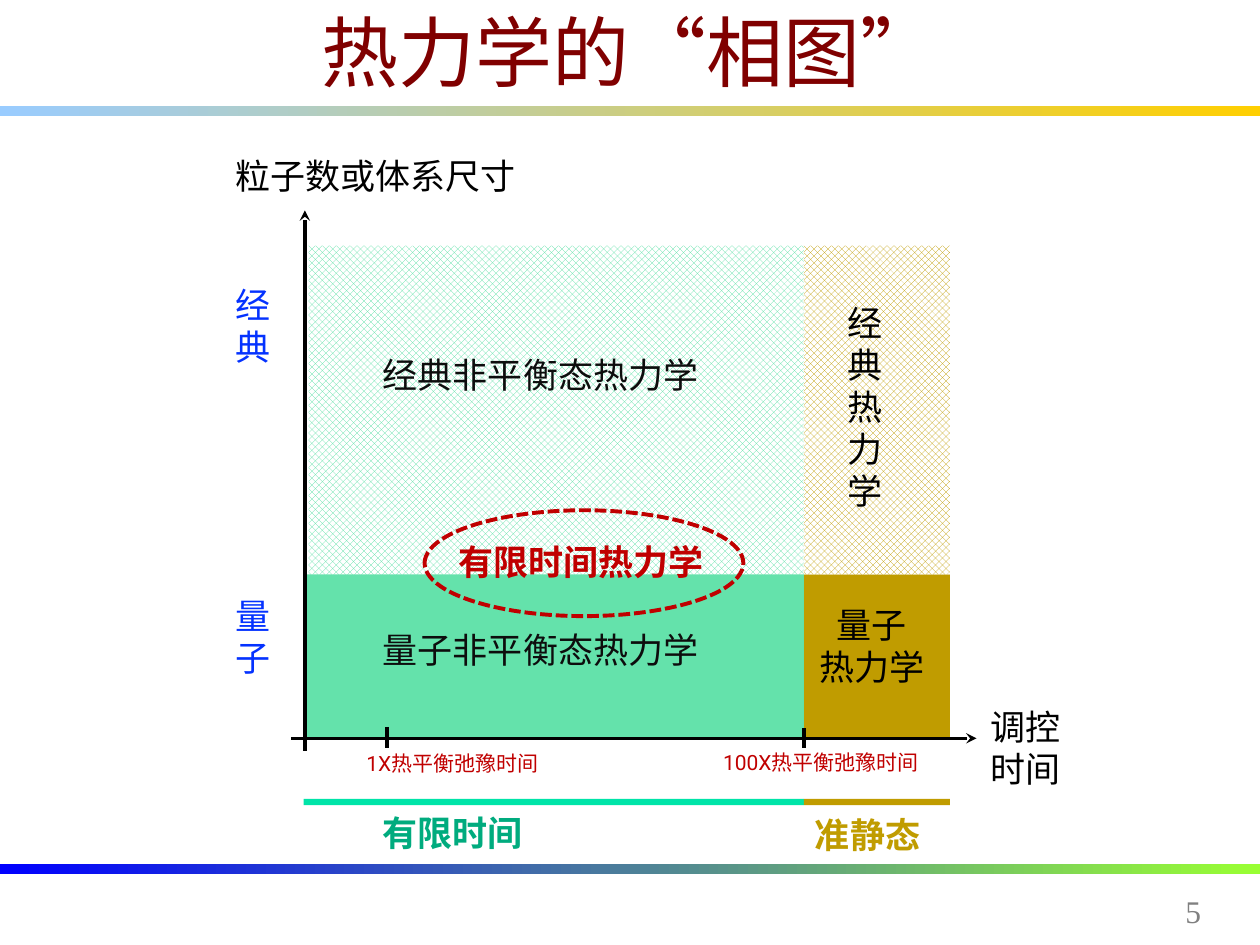
from lxml.etree import SubElement
from pptx import Presentation
from pptx.dml.color import RGBColor
from pptx.enum.dml import MSO_LINE, MSO_PATTERN
from pptx.enum.shapes import MSO_CONNECTOR, MSO_SHAPE
from pptx.enum.text import MSO_ANCHOR, PP_ALIGN
from pptx.oxml.ns import qn
from pptx.util import Inches, Pt

CJK, LATIN, NUMBER = "Noto Sans CJK SC", "Roboto", "Times New Roman"
BLACK, SOFT_BLACK, RED, BLUE = "000000", "0D0D0D", "C00000", "0432FF"
GREEN, GOLD = "54DFA2", "C09C00"

# Shared edges of the phase diagram
AXIS_X, AXIS_Y = 2.42, 5.86
LEFT, SPLIT, RIGHT = 2.41, 6.38, 7.54
TOP, MIDDLE = 1.95, 4.56

# Top, start colour, end colour
RULES = [(6.86, "0000FF", "99FF33"), (0.84, "99CCFF", "FFCF01")]

# Left, top, right, bottom, colour, style
REGIONS = [
    (2.45, TOP, SPLIT, MIDDLE, GREEN, "pattern"),
    (SPLIT, MIDDLE, RIGHT, AXIS_Y, GOLD, "solid"),
    (LEFT, MIDDLE, SPLIT, AXIS_Y, GREEN, "translucent"),
    (SPLIT, TOP, RIGHT, MIDDLE, GOLD, "pattern"),
    (LEFT, 6.34, SPLIT, 6.39, "00E4A8", "solid"),
    (SPLIT, 6.34, RIGHT, 6.39, GOLD, "solid"),
]

# Start, end, has arrowhead
AXES_AND_TICKS = [
    ((2.31, AXIS_Y), (7.75, AXIS_Y), True),
    ((AXIS_X, 5.96), (AXIS_X, 1.67), True),
    ((3.07, 5.77), (3.07, 5.94), False),
    ((SPLIT, 5.78), (SPLIT, 5.94), False),
]

# Lines, (left, top, width, height), size, colour, font, options
LABELS = [
    (["热力学的“相图”"], (0.69, 0, 8.62, 0.81), 44, "800000", CJK,
     {"center", "middle"}),
    (["5"], (9.31, 7.03, 0.6, 0.4), 18, "808080", NUMBER, set()),
    (["粒子数或体系尺寸"], (1.77, 1.18, 2.78, 0.44), 20, BLACK, CJK, {"nowrap"}),
    (["调控", "时间"], (7.76, 5.55, 0.76, 0.77), 20, BLACK, CJK, {"nowrap"}),
    (["1X热平衡弛豫时间"], (2.81, 5.91, 1.59, 0.3), 12, RED, LATIN, set()),
    (["100X热平衡弛豫时间"], (5.64, 5.9, 1.78, 0.3), 12, RED, LATIN, set()),
    (["有限时间"], (2.94, 6.39, 1.32, 0.44), 20, "00AB7E", CJK, {"bold", "nowrap"}),
    (["准静态"], (6.37, 6.41, 1.04, 0.44), 20, GOLD, CJK, {"bold", "nowrap"}),
    (["量子"], (1.77, 4.67, 0.63, 0.97), 20, BLUE, LATIN, {"stacked"}),
    (["经典"], (1.77, 2.2, 0.53, 0.76), 20, BLUE, LATIN, {"stacked"}),
    (["量子非平衡态热力学"], (2.94, 4.94, 2.73, 0.44), 20, SOFT_BLACK, CJK, {"nowrap"}),
    (["量子", "热力学"], (6.38, 4.74, 1.08, 0.77), 20, BLACK, CJK, {"center"}),
    (["经典非平衡态热力学"], (2.94, 2.76, 2.73, 0.44), 20, SOFT_BLACK, CJK, {"nowrap"}),
    (["经典热力学"], (6.63, 2.34, 0.71, 1.78), 20, BLACK, CJK, set()),
    (["有限时间热力学"], (3.38, 4.24, 2.46, 0.44), 20, RED, "Arial",
     {"bold", "center"}),
]


def color(value):
    return RGBColor.from_string(value)


def add_block(slide, kind, left, top, width, height):
    block = slide.shapes.add_shape(
        kind, Inches(left), Inches(top), Inches(width), Inches(height))
    block.shadow.inherit = False
    block.line.fill.background()
    return block


def add_rule(slide, top, start, end):
    fill = add_block(slide, MSO_SHAPE.RECTANGLE, 0, top, 10, 0.08).fill
    fill.gradient()
    fill.gradient_angle = 0
    for stop, position, value in zip(fill.gradient_stops, (0, 1), (start, end)):
        stop.position = position
        stop.color.rgb = color(value)


def add_region(slide, left, top, right, bottom, value, style):
    region = add_block(slide, MSO_SHAPE.RECTANGLE, left, top,
                       right - left, bottom - top)
    fill = region.fill
    if style == "pattern":
        fill.patterned()
        fill.pattern = MSO_PATTERN.OUTLINED_DIAMOND
        fill.fore_color.rgb = color(value)
        fill.back_color.rgb = color("FFFFFF")
        return
    fill.solid()
    fill.fore_color.rgb = color(value)
    if style == "translucent":
        rgb = region._element.spPr.find(qn("a:solidFill"))[0]
        SubElement(rgb, qn("a:alpha"), val="90000")


def add_line(slide, start, end, arrow):
    line = slide.shapes.add_connector(
        MSO_CONNECTOR.STRAIGHT, *map(Inches, start + end))
    line.line.color.rgb = color(BLACK)
    line.line.width = Pt(2)
    if arrow:
        SubElement(line.line._get_or_add_ln(), qn("a:tailEnd"), type="stealth")
    SubElement(line._element.spPr, qn("a:effectLst"))


def add_label(slide, lines, place, size, value, font, options):
    frame = slide.shapes.add_textbox(*map(Inches, place)).text_frame
    frame.word_wrap = "nowrap" not in options
    if "middle" in options:
        frame.vertical_anchor = MSO_ANCHOR.MIDDLE
    if "stacked" in options:
        frame._txBody.bodyPr.set("vert", "wordArtVert")
    frame.text = "\n".join(lines)
    for paragraph in frame.paragraphs:
        if "center" in options:
            paragraph.alignment = PP_ALIGN.CENTER
        paragraph.font.size = Pt(size)
        paragraph.font.name = font
        paragraph.font.bold = "bold" in options
        paragraph.font.color.rgb = color(value)
        # East Asian glyphs take their own typeface
        for run in paragraph.runs:
            SubElement(run._r.get_or_add_rPr(), qn("a:ea"), typeface=CJK)


def main():
    prs = Presentation()
    prs.slide_width, prs.slide_height = Inches(10), Inches(7.5)
    slide = prs.slides.add_slide(prs.slide_layouts[6])

    for rule in RULES:
        add_rule(slide, *rule)
    for region in REGIONS:
        add_region(slide, *region)
    for line in AXES_AND_TICKS:
        add_line(slide, *line)

    # Finite-time domain straddling classical and quantum
    domain = add_block(slide, MSO_SHAPE.OVAL, 3.37, 4.05, 2.53, 0.84)
    domain.fill.background()
    domain.line.color.rgb = color(RED)
    domain.line.width = Pt(2.25)
    domain.line.dash_style = MSO_LINE.SQUARE_DOT

    for label in LABELS:
        add_label(slide, *label)
    prs.save("out.pptx")


if __name__ == "__main__":
    main()
